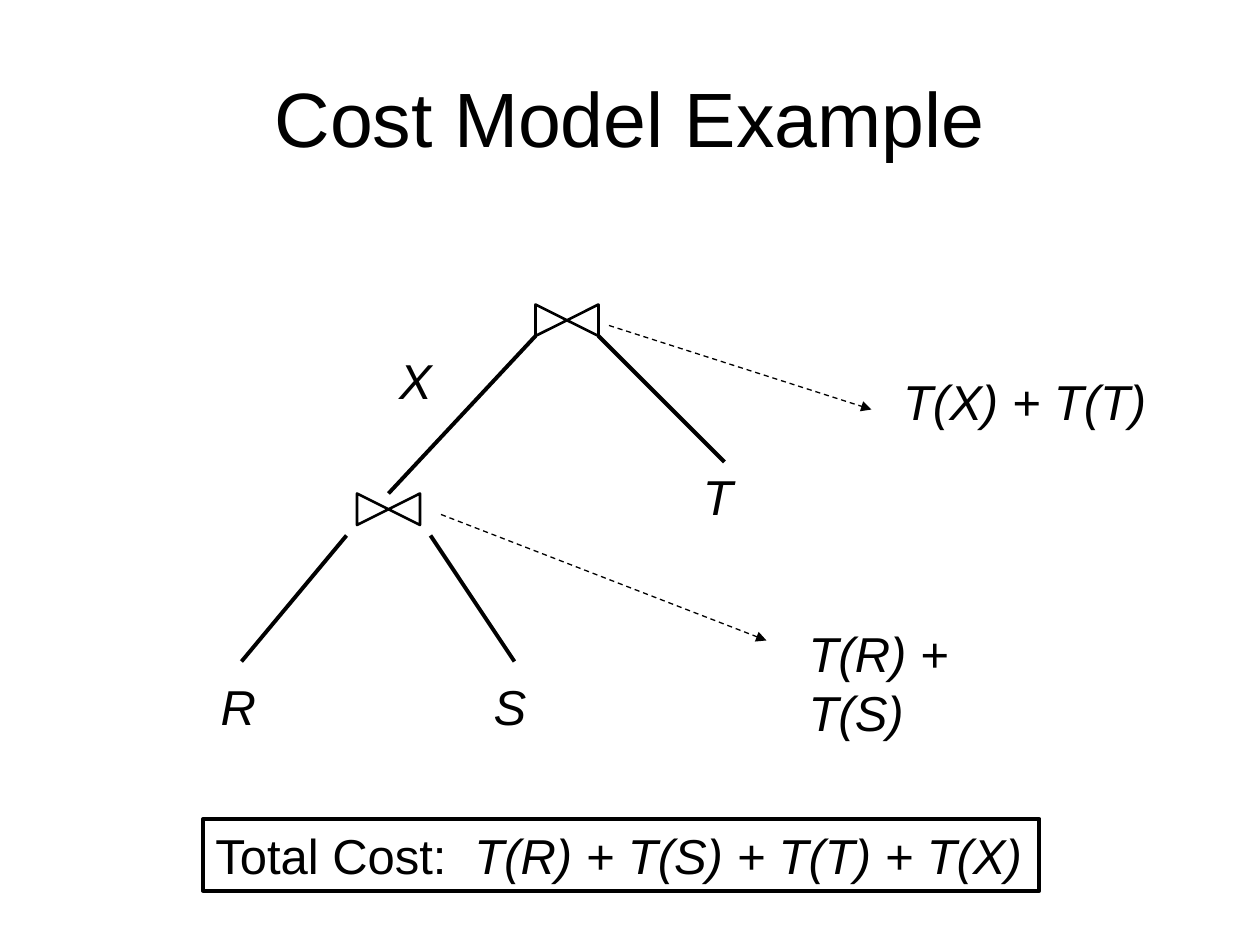
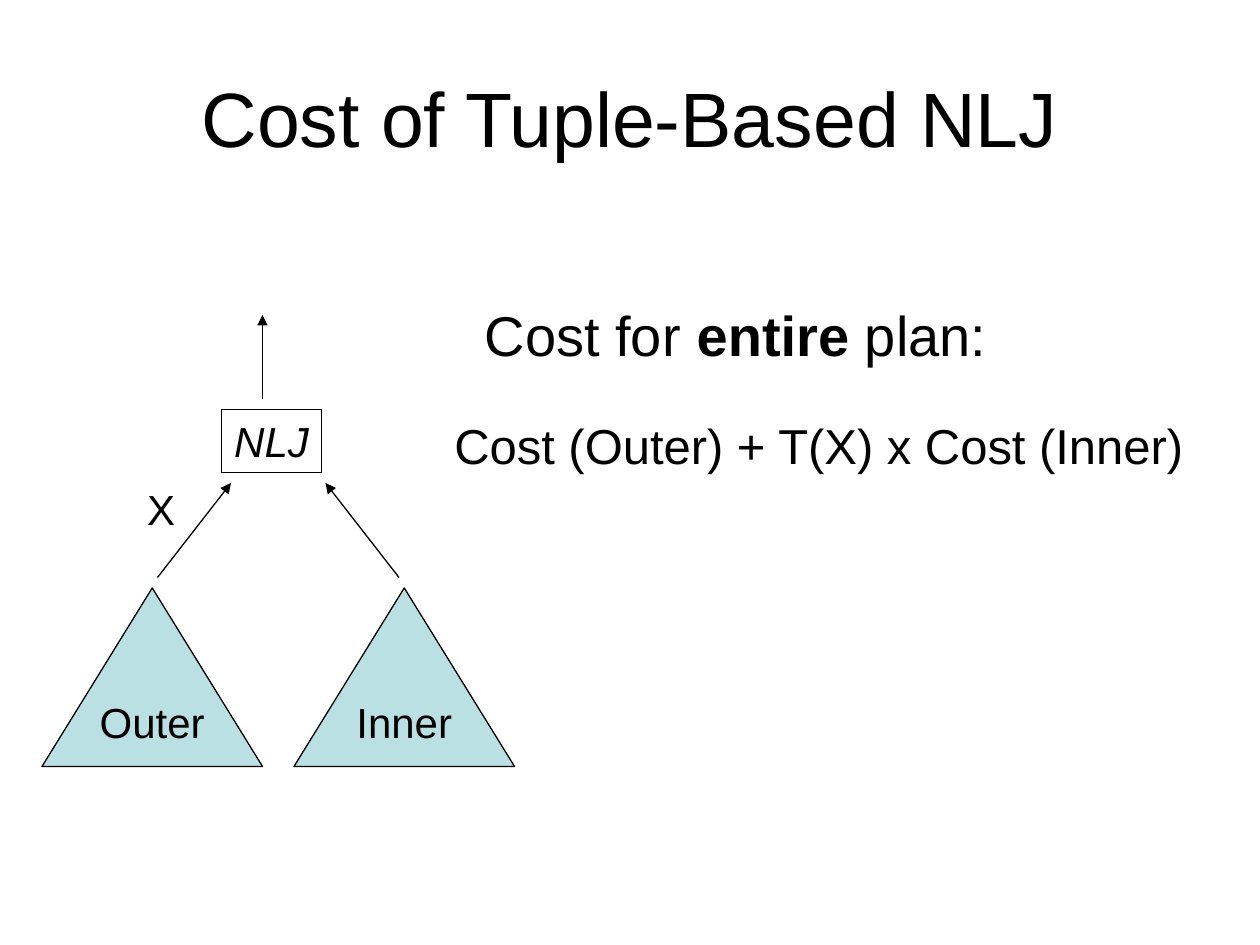
import pptx
import pptx.dml.color
import pptx.enum.dml
import pptx.enum.shapes
import pptx.enum.text
import pptx.oxml.ns
import pptx.util
from lxml import etree

Pt = pptx.util.Pt
SHAPE = pptx.enum.shapes.MSO_SHAPE
ANCHOR = pptx.enum.text.MSO_ANCHOR
ALIGN = pptx.enum.text.PP_ALIGN
FIT = pptx.enum.text.MSO_AUTO_SIZE

COLORS = {"ink": "000000", "paper": "FFFFFF", "subplan": "BBE0E3"}
FONT = "Arial"
ITALIC = {"italic": True}
BOLD = {"bold": True}
TITLE_FRAME = (36, 21.6, 648, 90)

# Cost model example: lengths in points
JOIN_SIZE = (18, 36)
JOIN_CENTERS = [(324, 183), (222, 291)]
TREE_EDGES = [
    ((198, 306), (138, 378)),
    ((246, 306), (294, 378)),
    ((306, 192), (222, 282)),
    ((342, 192), (414, 264)),
]
COST_ARROWS = [((252, 294), (438, 366)), ((348, 186), (498, 234))]
TREE_LABELS = [
    ("R", (119, 383, 34.5, 41)),
    ("S", (275, 383, 33, 41)),
    ("T", (394.5, 263, 31.5, 41)),
    ("X", (221, 197, 33, 41)),
    ("T(R) + T(S)", (455, 353, 156, 41)),
    ("T(X) + T(T)", (509, 209, 153.5, 41)),
]
TOTAL_COST = [("Total Cost:\t", {}), ("T(R) + T(S) + T(T) + T(X)", ITALIC)]
TOTAL_FRAME = (116, 468, 478, 41)
TOTAL_TAB = 148

# Cost of tuple-based NLJ
NLJ_FRAME = (126.75, 234, 57, 36)
SUBPLANS = ["Outer", "Inner"]
SUBPLAN_FRAME = (24, 336, 126, 102)
SUBPLAN_GAP = 18
FLOW_ARROWS = [
    ((90, 330), (132, 276)),
    ((150, 228), (150, 180)),
    ((228, 330), (186, 276)),
]
PLAN_TEXTS = [
    ([("Cost for ", {}), ("entire", BOLD), (" plan:", {})], 32, (270, 168, 309.5, 46)),
    ([("Cost (Outer) + T(X) x Cost (Inner)", {})], 28, (252.5, 234, 431, 41)),
    ([("X", {})], 24, (77, 273, 30, 36)),
]


def color(name):
    return pptx.dml.color.RGBColor.from_string(COLORS[name])


def points(values):
    return [Pt(value) for value in values]


def write(frame, runs, size, align=ALIGN.LEFT, **frame_format):
    """Put formatted runs into a text frame."""
    frame_format = {"word_wrap": False, "vertical_anchor": ANCHOR.TOP,
                    "auto_size": FIT.SHAPE_TO_FIT_TEXT, **frame_format}
    for key, value in frame_format.items():
        setattr(frame, key, value)
    line = frame.paragraphs[0]
    line.alignment = align
    for text, style in runs:
        run = line.add_run()
        run.text = text
        run.font.color.rgb = color("ink")
        for key, value in {"name": FONT, "size": Pt(size), **style}.items():
            setattr(run.font, key, value)


def add_title_slide(deck, text):
    slide = deck.slides.add_slide(deck.slide_layouts[5])
    title = slide.shapes.title
    title.left, title.top, title.width, title.height = points(TITLE_FRAME)
    write(title.text_frame, [(text, {})], 44, ALIGN.CENTER, word_wrap=True,
          vertical_anchor=ANCHOR.MIDDLE, auto_size=FIT.NONE)
    return slide


def add_label(slide, runs, size, frame):
    write(slide.shapes.add_textbox(*points(frame)).text_frame, runs, size)


def add_outlined(slide, kind, frame, width, fill=None):
    shape = slide.shapes.add_shape(kind, *points(frame))
    shape.shadow.inherit = False
    if fill:
        shape.fill.solid()
        shape.fill.fore_color.rgb = color(fill)
    else:
        shape.fill.background()
    shape.line.color.rgb = color("ink")
    shape.line.width = Pt(width)
    return shape


def add_line(slide, start, end, width, dashed=False, arrow=False):
    edge = slide.shapes.add_connector(
        pptx.enum.shapes.MSO_CONNECTOR.STRAIGHT, *points(start + end))
    edge.line.color.rgb = color("ink")
    edge.line.width = Pt(width)
    if dashed:
        edge.line.dash_style = pptx.enum.dml.MSO_LINE.DASH
    qn = pptx.oxml.ns.qn
    properties = edge._element.spPr
    if arrow:
        etree.SubElement(properties.find(qn("a:ln")), qn("a:tailEnd"), type="triangle")
    etree.SubElement(properties, qn("a:effectLst"))


def build_cost_model(deck):
    slide = add_title_slide(deck, "Cost Model Example")
    # Join operators, turned on their side
    width, height = JOIN_SIZE
    for x, y in JOIN_CENTERS:
        frame = (x - width / 2, y - height / 2, width, height)
        join = add_outlined(slide, SHAPE.FLOWCHART_COLLATE, frame, 1.5, "paper")
        join.rotation = 270
    # Tree and cost pointers
    for start, end in TREE_EDGES:
        add_line(slide, start, end, 2.25)
    for start, end in COST_ARROWS:
        add_line(slide, start, end, 0.75, dashed=True, arrow=True)
    for text, frame in TREE_LABELS:
        add_label(slide, [(text, ITALIC)], 28, frame)
    # Total, with a tab stop before the formula
    total = add_outlined(slide, SHAPE.RECTANGLE, TOTAL_FRAME, 2.25)
    write(total.text_frame, TOTAL_COST, 28)
    qn = pptx.oxml.ns.qn
    tabs = etree.SubElement(
        total.text_frame.paragraphs[0]._p.get_or_add_pPr(), qn("a:tabLst"))
    etree.SubElement(tabs, qn("a:tab"), pos=str(Pt(TOTAL_TAB)), algn="l")


def build_nested_loop(deck):
    slide = add_title_slide(deck, "Cost of Tuple-Based NLJ")
    operator = add_outlined(slide, SHAPE.RECTANGLE, NLJ_FRAME, 0.75)
    write(operator.text_frame, [("NLJ", ITALIC)], 24)
    # Input subplans
    left, top, width, height = SUBPLAN_FRAME
    for index, name in enumerate(SUBPLANS):
        frame = (left + index * (width + SUBPLAN_GAP), top, width, height)
        subplan = add_outlined(slide, SHAPE.ISOSCELES_TRIANGLE, frame, 0.75, "subplan")
        write(subplan.text_frame, [(name, {})], 24, ALIGN.CENTER,
              vertical_anchor=ANCHOR.MIDDLE, auto_size=FIT.NONE)
    # Tuple flow and cost formula
    for start, end in FLOW_ARROWS:
        add_line(slide, start, end, 0.75, arrow=True)
    for runs, size, frame in PLAN_TEXTS:
        add_label(slide, runs, size, frame)


def main():
    deck = pptx.Presentation()
    deck.slide_width, deck.slide_height = points((720, 540))
    build_cost_model(deck)
    build_nested_loop(deck)
    deck.save("out.pptx")


if __name__ == "__main__":
    main()
